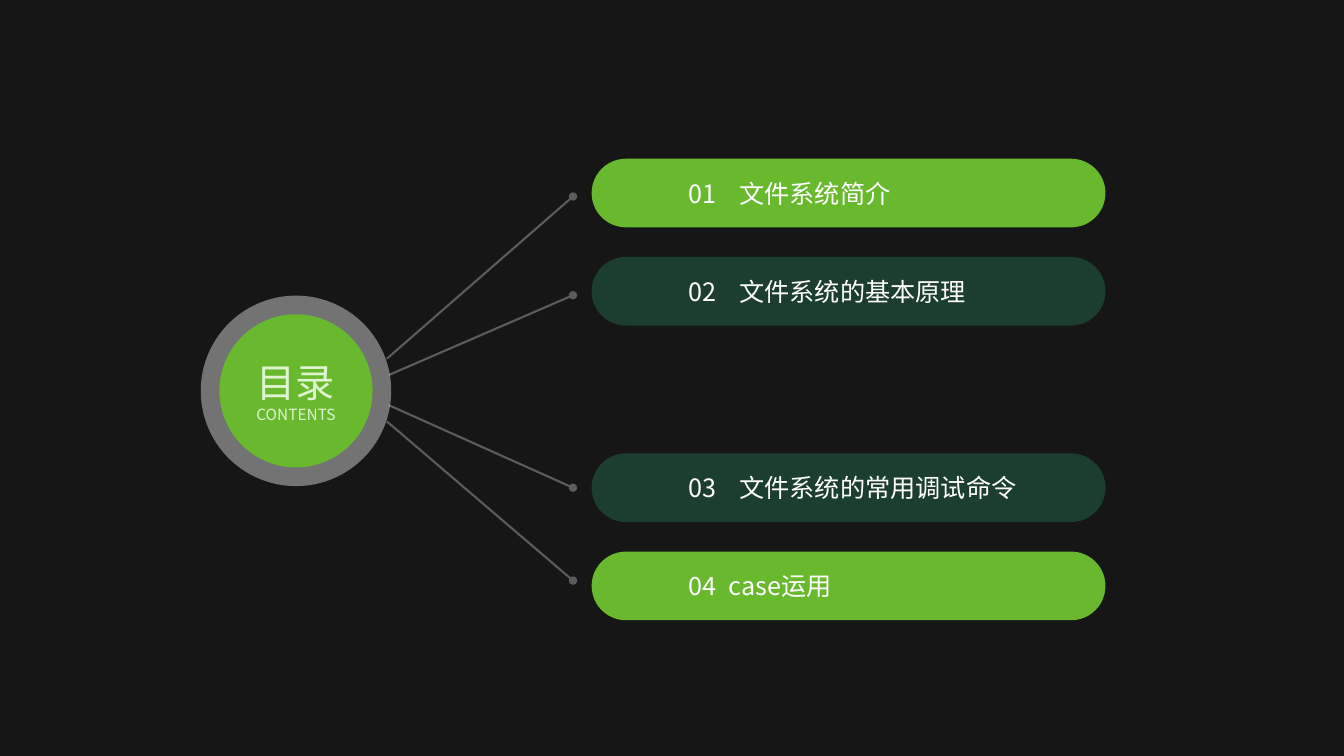
import pptx
import pptx.util
import pptx.dml.color
import pptx.enum.shapes
import pptx.enum.text
import pptx.oxml
import pptx.oxml.ns
from lxml import etree

Cm, Pt = pptx.util.Cm, pptx.util.Pt
RGBColor = pptx.dml.color.RGBColor
SHAPE = pptx.enum.shapes.MSO_SHAPE
ANCHOR = pptx.enum.text.MSO_ANCHOR
ALIGN = pptx.enum.text.PP_ALIGN
qn = pptx.oxml.ns.qn

BACKGROUND = RGBColor(0x16, 0x16, 0x16)
WHITE = RGBColor(0xFF, 0xFF, 0xFF)
GREEN = RGBColor(0x68, 0xB9, 0x2E)
DARK_GREEN = RGBColor(0x1B, 0x3E, 0x2F)
PALE_GREEN = RGBColor(0xE0, 0xF4, 0xD2)
FONT = "Noto Sans CJK SC"


def style_text(paragraph, size, color):
    for run in paragraph.runs:
        run.font.size = Pt(size)
        run.font.color.rgb = color
        run.font.name = FONT
        etree.SubElement(run.font._element, qn("a:ea"), typeface=FONT)


def set_alpha(shape, percent):
    color = shape._element.spPr.find(".//" + qn("a:srgbClr"))
    etree.SubElement(color, qn("a:alpha"), val=str(percent * 1000))


deck = pptx.Presentation()
deck.slide_width, deck.slide_height = Cm(33.87), Cm(19.05)
slide = deck.slides.add_slide(deck.slide_layouts[5])
slide.background.fill.solid()
slide.background.fill.fore_color.rgb = BACKGROUND

# Hub: a translucent ring around a green disc
HUB_X, HUB_Y, DISC = 7.46, 9.85, 3.86
hub = slide.shapes.add_group_shape()
for diameter, color in ((4.8, WHITE), (DISC, GREEN)):
    circle = hub.shapes.add_shape(
        SHAPE.OVAL, Cm(HUB_X - diameter / 2), Cm(HUB_Y - diameter / 2),
        Cm(diameter), Cm(diameter))
    circle.shadow.inherit = False
    circle.fill.solid()
    circle.fill.fore_color.rgb = color
    circle.line.fill.background()
    if color == WHITE:
        set_alpha(circle, 40)

# Title on the disc, brought to the front
title = slide.shapes.title
title.left, title.top = Cm(HUB_X - DISC / 2), Cm(HUB_Y - DISC / 2)
title.width = title.height = Cm(DISC)
title.text_frame.text = "目录\nCONTENTS"
title.text_frame.auto_size = pptx.enum.text.MSO_AUTO_SIZE.NONE
title.text_frame.vertical_anchor = ANCHOR.MIDDLE
for paragraph, size in zip(title.text_frame.paragraphs, (28, 11)):
    paragraph.alignment = ALIGN.CENTER
    style_text(paragraph, size, PALE_GREEN)
slide.shapes._spTree.append(title._element)

# Spokes from the chapters to the hub, with a dot at the chapter end
SPOKE_X = 14.44
for dot_y, hub_x, hub_y in ((4.95, 9.75, 9.04), (7.44, 9.8, 9.45),
                            (12.29, 9.8, 10.21), (14.63, 9.75, 10.62)):
    spoke = slide.shapes.add_connector(
        pptx.enum.shapes.MSO_CONNECTOR.STRAIGHT,
        Cm(SPOKE_X), Cm(dot_y), Cm(hub_x), Cm(hub_y))
    spoke.line.color.rgb = WHITE
    spoke.line.width = Pt(1.5)
    set_alpha(spoke, 30)
    etree.SubElement(spoke.line._get_or_add_ln(), qn("a:headEnd"), type="oval")
    etree.SubElement(spoke._element.spPr, qn("a:effectLst"))

# Chapters on an even pitch, with the middle row left free
FIRST_TOP, PITCH = 4.0, 2.475
chapters = (
    (0, GREEN, "01", "文件系统简介", 1.27),
    (1, DARK_GREEN, "02", "文件系统的基本原理", 1.27),
    (3, DARK_GREEN, "03", "文件系统的常用调试命令", 1.27),
    (4, GREEN, "04", "case运用", 1.0),
)
for row, color, number, name, name_tab in chapters:
    chapter = slide.shapes.add_shape(
        SHAPE.ROUNDED_RECTANGLE, Cm(14.91), Cm(FIRST_TOP + row * PITCH),
        Cm(12.95), Cm(1.73))
    chapter.adjustments[0] = 0.5
    chapter.shadow.inherit = False
    chapter.fill.solid()
    chapter.fill.fore_color.rgb = color
    chapter.line.fill.background()
    frame = chapter.text_frame
    frame.margin_left = Cm(2.2)
    frame.vertical_anchor = ANCHOR.MIDDLE
    frame.text = f"{number}\t{name}"
    label = frame.paragraphs[0]
    label.alignment = ALIGN.LEFT
    tabs = etree.SubElement(label._p.get_or_add_pPr(), qn("a:tabLst"))
    etree.SubElement(tabs, qn("a:tab"), pos=str(Cm(name_tab)), algn="l")
    style_text(label, 18, WHITE)

deck.save("out.pptx")
